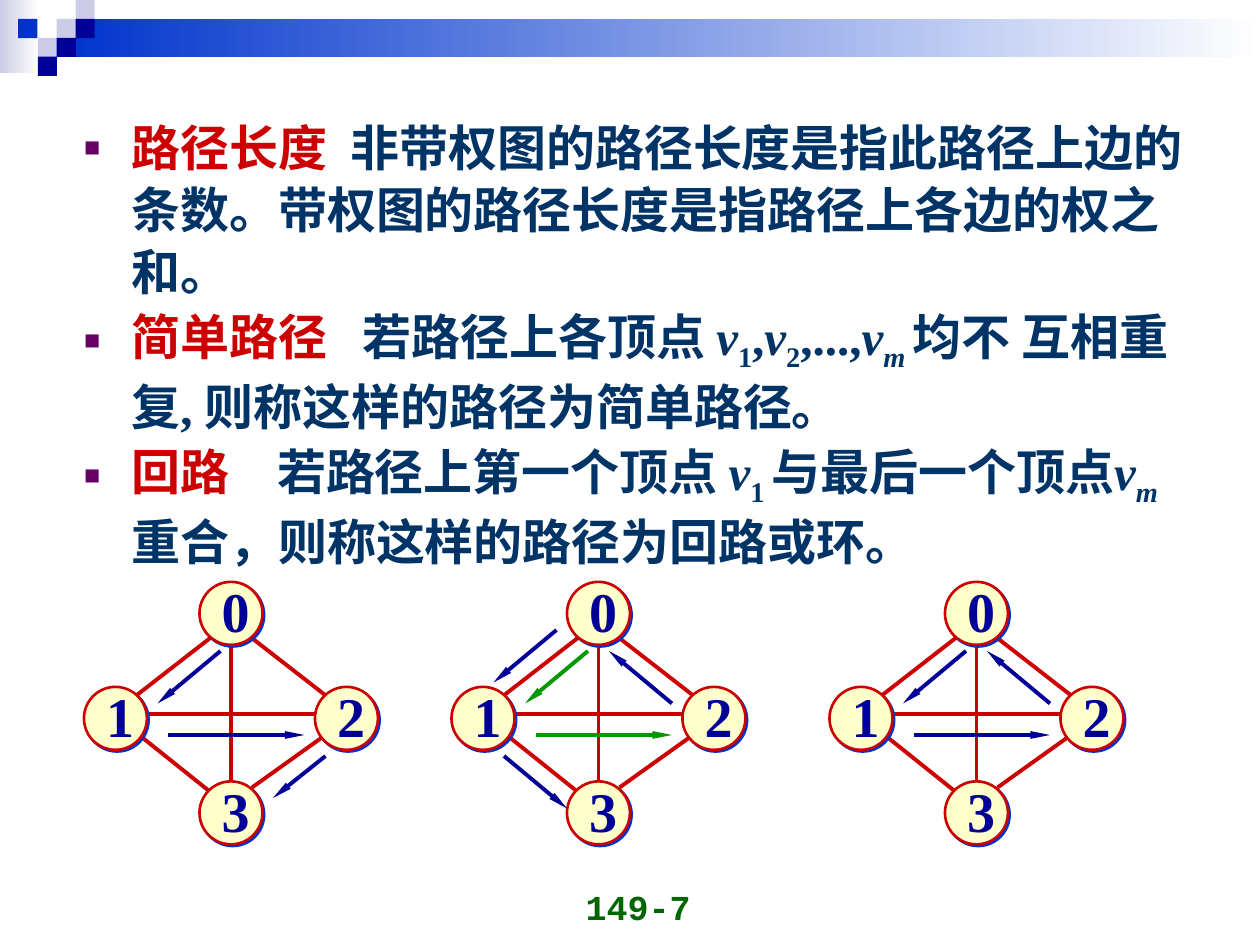
import pptx
import pptx.dml.color
import pptx.enum.shapes
import pptx.enum.text
import pptx.oxml
import pptx.oxml.ns
import pptx.util
from lxml import etree

Pt = pptx.util.Pt
qn = pptx.oxml.ns.qn
Shape = pptx.enum.shapes.MSO_SHAPE
Align = pptx.enum.text.PP_ALIGN
Anchor = pptx.enum.text.MSO_ANCHOR

RED, NAVY, BLUE, GREEN = "CC0000", "000099", "0033CC", "009900"
LILAC, WHITE, INK = "CCCCE6", "FFFFFF", "003366"
SERIF = "Times New Roman"


def color(value):
    return pptx.dml.color.RGBColor.from_string(value)


class Deck:
    """Holds the style and the current slide."""

    line_width = 2.25
    node_size = 36
    body_size = 28
    bullet_indent = 27

    def __init__(self, width, height):
        self.presentation = pptx.Presentation()
        self.presentation.slide_width = Pt(width)
        self.presentation.slide_height = Pt(height)
        self.slide = self.presentation.slides.add_slide(self.presentation.slide_layouts[6])

    def shape(self, kind, left, top, width, height, fill):
        shape = self.slide.shapes.add_shape(kind, Pt(left), Pt(top), Pt(width), Pt(height))
        shape.shadow.inherit = False
        shape.line.fill.background()
        if isinstance(fill, str):
            shape.fill.solid()
            shape.fill.fore_color.rgb = color(fill)
        else:
            shape.fill.gradient()
            shape.fill.gradient_angle = 0
            for stop, value in zip(shape.fill.gradient_stops, fill):
                stop.color.rgb = color(value)
        return shape

    def node(self, x, y):
        size = self.node_size
        shape = self.shape(Shape.OVAL, x - size / 2, y - size / 2, size, size, "FFFFCC")
        shape.line.color.rgb = color(RED)
        shape.line.width = Pt(1.5)
        effects = shape._element.spPr.find(qn("a:effectLst"))
        shadow = etree.SubElement(effects, qn("a:outerShdw"), blurRad="0",
                                  dist=str(Pt(1.4)), dir=str(45 * 60000), rotWithShape="0")
        etree.SubElement(shadow, qn("a:srgbClr"), val=BLUE)

    def line(self, start, end, line_color, arrow=False):
        connector = self.slide.shapes.add_connector(
            pptx.enum.shapes.MSO_CONNECTOR.STRAIGHT, *map(Pt, start + end))
        connector.line.color.rgb = color(line_color)
        connector.line.width = Pt(self.line_width)
        if arrow:
            etree.SubElement(connector.line._get_or_add_ln(), qn("a:tailEnd"),
                             type="triangle", w="sm", len="lg")
        etree.SubElement(connector._element.spPr, qn("a:effectLst"))

    def text_box(self, left, top, width, height, wrap=True):
        frame = self.slide.shapes.add_textbox(Pt(left), Pt(top), Pt(width), Pt(height)).text_frame
        frame.word_wrap = wrap
        return frame

    def run(self, paragraph, text, size, font, text_color, style="", spacing=0):
        """style: i for italic, s for subscript; spacing: extra points."""
        run = paragraph.add_run()
        run.text = text
        run.font.size = Pt(size)
        run.font.name = font
        run.font.bold = True
        run.font.italic = "i" in style
        run.font.color.rgb = color(text_color)
        properties = run.font._element
        if "s" in style:
            properties.set("baseline", "-25000")
        if spacing:
            properties.set("spc", str(spacing * 100))

    def label(self, x, y, text):
        frame = self.text_box(x - 12.5, y - 24.4, 30.2, 46, wrap=False)
        self.run(frame.paragraphs[0], text, 32, SERIF, NAVY)

    def page_number(self, left, top, width, height, text):
        frame = self.text_box(left, top, width, height)
        frame.vertical_anchor = Anchor.BOTTOM
        frame.paragraphs[0].alignment = Align.CENTER
        self.run(frame.paragraphs[0], text, 20, "Courier New", "006600")

    def bullets(self, left, top, width, height, items):
        frame = self.text_box(left, top, width, height)
        for index, (term, gap, runs) in enumerate(items):
            paragraph = frame.add_paragraph() if index else frame.paragraphs[0]
            paragraph.line_spacing = 1.05
            paragraph.space_before = Pt(1.8 if index else 0)
            self.bullet(paragraph)
            for text, font in term:
                self.run(paragraph, text, self.body_size, font, RED)
            self.run(paragraph, " ", self.body_size, SERIF, INK, spacing=gap)
            for text, style in runs:
                self.run(paragraph, text, self.body_size, SERIF, INK, style)

    def bullet(self, paragraph):
        properties = paragraph._p.get_or_add_pPr()
        properties.set("marL", str(Pt(self.bullet_indent)))
        properties.set("indent", str(Pt(-self.bullet_indent)))
        bullet_color = etree.SubElement(properties, qn("a:buClr"))
        etree.SubElement(bullet_color, qn("a:srgbClr"), val="660066")
        etree.SubElement(properties, qn("a:buSzPct"), val="55000")
        etree.SubElement(properties, qn("a:buFont"), typeface="Arial")
        etree.SubElement(properties, qn("a:buChar"), char="■")


# Definitions: term runs, extra gap after the term, explanation runs
DEFINITIONS = [
    ([("路径", "Arial"), ("长度", SERIF)], 7,
     [("非带权图的路径长度是指此路径上边的条数。带权图的路径长度是指路径上各边的权之和。", "")]),
    ([("简单路径", SERIF)], 14,
     [("若路径上各顶点 ", ""), ("v", "i"), ("1", "s"), (",", ""), ("v", "i"), ("2", "s"),
      (",...,", ""), ("v", "i"), ("m ", "is"),
      ("均不 互相重复, 则称这样的路径为简单路径。", "")]),
    ([("回路", SERIF)], 21,
     [("若路径上第一个顶点 ", ""), ("v", "i"), ("1 ", "s"), ("与最后一个顶点", ""),
      ("v", "i"), ("m ", "is"), ("重合，则称这样的路径为回路或环。", "")]),
]

# Graph geometry, x measured from the graph's centre line
NODES = {"0": (0, 350.5), "1": (-66, 410.5), "2": (66, 410.5), "3": (0, 464.5)}
EDGES = [((-60, 414), (0, 462)), ((6, 360), (60, 402)), ((54, 420), (12, 450)),
         ((-6, 360), (-60, 402)), ((-54, 408), (54, 408)), ((0, 362), (0, 468))]
ZERO_TO_ONE = ((-6, 372), (-42, 402))
ONE_TO_TWO = ((-36, 420), (42, 420))
TWO_TO_ZERO = ((42, 402), (6, 372))
TWO_TO_THREE = ((54, 432), (24, 456))
OUTER_ZERO_TO_ONE = ((-24, 360), (-60, 390))
ONE_TO_THREE = ((-54, 432), (-18, 462))

# Each graph: centre x and its arrows by colour
GRAPHS = [
    (132, {NAVY: [ZERO_TO_ONE, ONE_TO_TWO, TWO_TO_THREE]}),
    (342, {GREEN: [ZERO_TO_ONE, ONE_TO_TWO],
           NAVY: [OUTER_ZERO_TO_ONE, TWO_TO_ZERO, ONE_TO_THREE]}),
    (558, {NAVY: [ZERO_TO_ONE, ONE_TO_TWO, TWO_TO_ZERO]}),
]


def draw_graph(deck, center, arrows):
    def shifted(points):
        return [(center + x, y) for x, y in points]

    for edge in EDGES:
        deck.line(*shifted(edge), RED)
    for x, y in NODES.values():
        deck.node(center + x, y)
    for name, (x, y) in NODES.items():
        deck.label(center + x, y, name)
    for arrow_color, group in arrows.items():
        for arrow in group:
            deck.line(*shifted(arrow), arrow_color, arrow=True)


def main():
    deck = Deck(720, 540)

    # Header bands and checker squares
    deck.shape(Shape.RECTANGLE, 0, 0, 22.3, 41.8, (LILAC, WHITE))
    deck.shape(Shape.RECTANGLE, 32.4, 10.8, 687.6, 21.6, (BLUE, WHITE))
    for left, top, fill in [(32.4, 10.8, LILAC), (43.2, 0, LILAC), (43.2, 10.8, NAVY),
                            (21.6, 21.6, LILAC), (10.4, 10.8, BLUE),
                            (32.4, 21.6, NAVY), (21.6, 32.4, NAVY)]:
        deck.shape(Shape.RECTANGLE, left, top, 11, 11, fill)

    # Page number and definitions
    deck.page_number(280.8, 497.5, 167.8, 36, "149-7")
    deck.bullets(41, 62, 642.3, 282, DEFINITIONS)

    # Graphs
    for center, arrows in GRAPHS:
        draw_graph(deck, center, arrows)

    deck.presentation.save("out.pptx")


if __name__ == "__main__":
    main()
